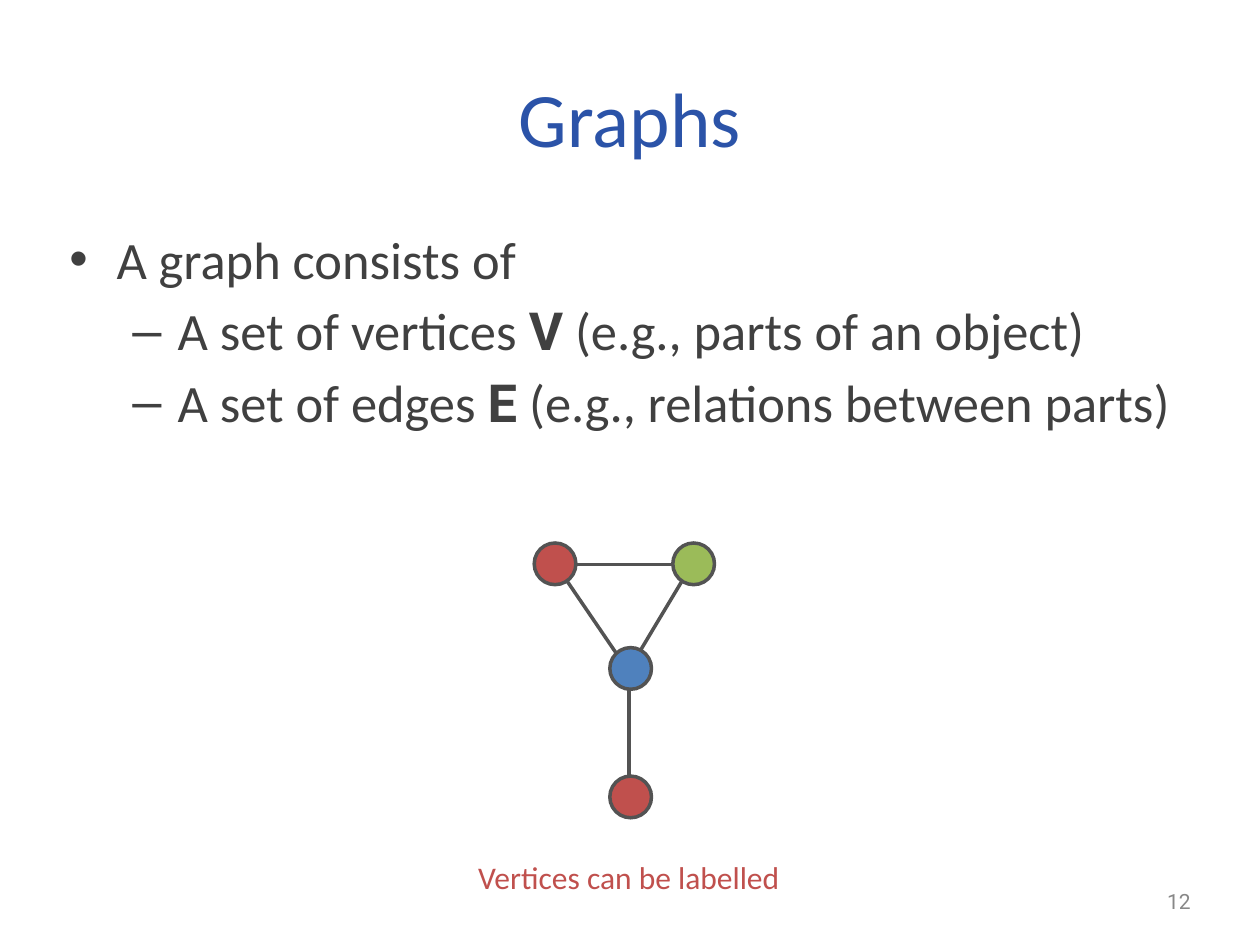
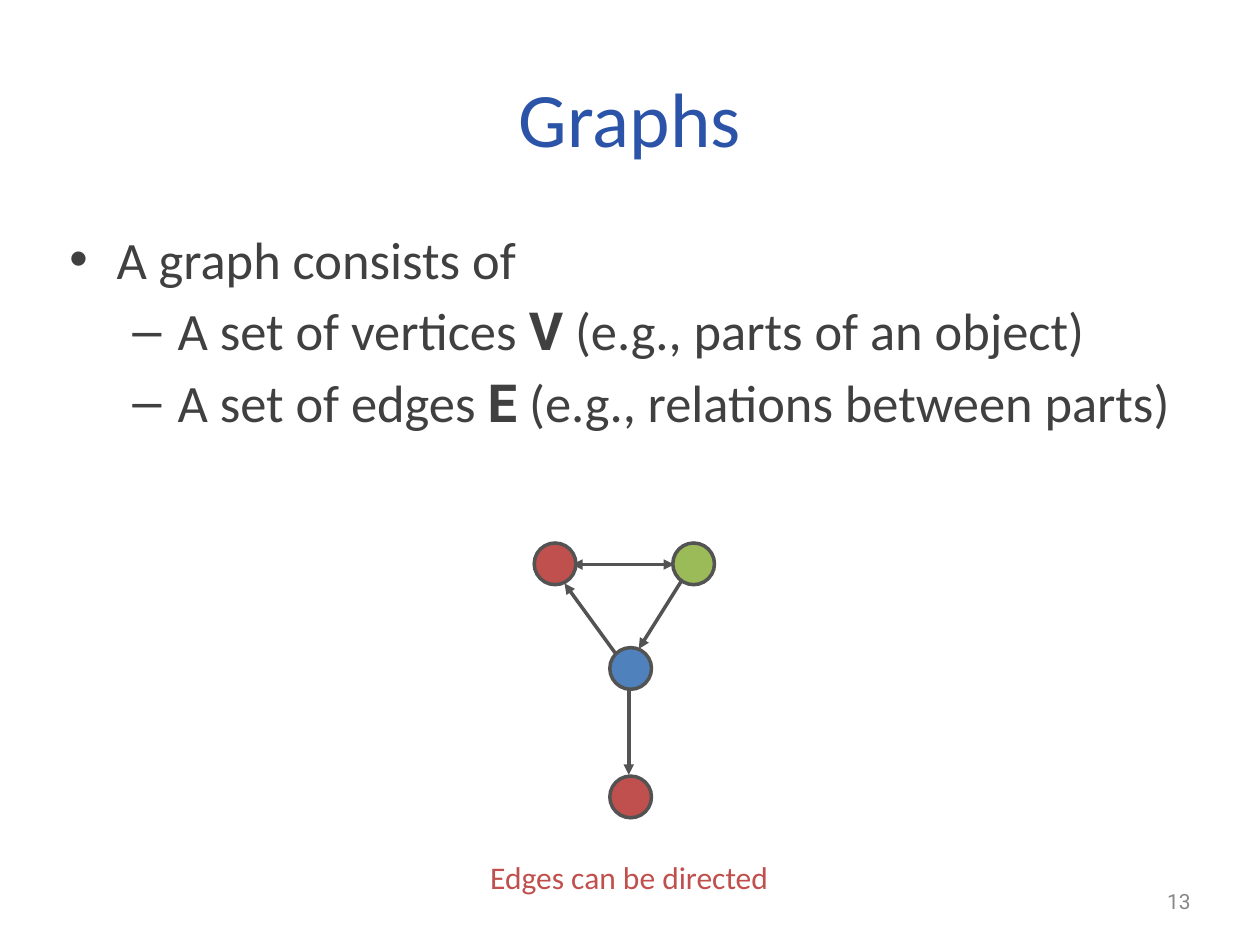
from dataclasses import dataclass

from lxml.etree import SubElement as Sub
from pptx import Presentation
from pptx.dml.color import RGBColor as RGB
from pptx.enum.shapes import MSO_CONNECTOR as Link, MSO_SHAPE as Form
from pptx.enum.text import MSO_ANCHOR as Anchor, PP_ALIGN as Align
from pptx.oxml.ns import qn
from pptx.util import Pt

TITLE = "Graphs"
# Level, then runs of (text, strong)
POINTS = [
    (0, [("A graph consists of", False)]),
    (1, [("A set of vertices ", False), ("V", True),
         (" (e.g., parts of an object)", False)]),
    (1, [("A set of edges ", False), ("E", True),
         (" (e.g., relations between parts)", False)]),
]
# Left, top and colour of each vertex
NODES = [
    (305.3, 310.3, "red"),
    (384.5, 310.3, "green"),
    (348.5, 370.1, "blue"),
    (348.5, 443.5, "red"),
]
# Edges: start, end, ends that carry an arrowhead
SLIDES = [
    {
        "number": "12",
        "caption": "Vertices can be labelled",
        "width": 180.7,
        "edges": [
            ((316.1, 320.4), (359.3, 383.8), ()),
            ((396.7, 320.4), (360, 381.6), ()),
            ((359.3, 463.7), (359.3, 383.8), ()),
            ((325.4, 322.6), (394.6, 322.6), ()),
        ],
    },
    {
        "number": "13",
        "caption": "Edges can be directed",
        "width": 167,
        "edges": [
            ((322.6, 333.4), (359.3, 383.8), ("headEnd",)),
            ((396.7, 320.4), (365, 370.8), ("tailEnd",)),
            ((359.3, 442.8), (359.3, 383), ("headEnd",)),
            ((326.9, 322.6), (385.2, 322.6), ("headEnd", "tailEnd")),
        ],
    },
]


@dataclass(frozen=True)
class Theme:
    main: str = "Calibri"
    alt: str = "Roboto"
    title: str = "2B53A8"
    text: str = "404040"
    edge: str = "535353"
    grey: str = "888888"
    red: str = "C0504D"
    green: str = "9BBB59"
    blue: str = "4F81BD"
    big: int = 44
    body: int = 30
    note: int = 18
    small: int = 12
    line: int = 2
    node: float = 23.8
    inset: float = 3.6
    gap: int = 5


T = Theme()
WIDE, HIGH, SIDE = 720, 540, 36
# Bullet sign, left margin and hang for each level
LEVELS = [("•", 27, 27), ("–", 61.9, 25.9)]


def put(obj, **vals):
    for key, val in vals.items():
        setattr(obj, key, val)


def add_box(slide, left, top, width, height, wrap=True, anchor=Anchor.TOP):
    frame = slide.shapes.add_textbox(
        Pt(left), Pt(top), Pt(width), Pt(height)).text_frame
    put(frame, word_wrap=wrap, vertical_anchor=anchor)
    for side in ("left", "top", "right", "bottom"):
        setattr(frame, f"margin_{side}", Pt(T.inset))
    return frame


def add_run(para, text, size, color, font=T.main, bold=False):
    run = para.add_run()
    run.text = text
    put(run.font, size=Pt(size), name=font, bold=bold)
    run.font.color.rgb = RGB.from_string(color)


def add_label(frame, text, size, color, font=T.main, align=Align.LEFT):
    para = frame.paragraphs[0]
    para.alignment = align
    add_run(para, text, size, color, font)


def set_bullet(para, level):
    sign, left, hang = LEVELS[level]
    put(para, level=level, space_before=Pt(T.gap))
    props = para._p.get_or_add_pPr()
    props.set("marL", str(Pt(left)))
    props.set("indent", str(-Pt(hang)))
    Sub(props, qn("a:buFont"), typeface="Arial")
    Sub(props, qn("a:buChar"), char=sign)


def add_points(slide):
    frame = add_box(slide, SIDE, 126, WIDE - 2 * SIDE, 356.4)
    for i, (level, runs) in enumerate(POINTS):
        para = frame.add_paragraph() if i else frame.paragraphs[0]
        set_bullet(para, level)
        for text, strong in runs:
            font = T.alt if strong else T.main
            add_run(para, text, T.body, T.text, font, strong)


def set_line(line):
    line.color.rgb = RGB.from_string(T.edge)
    line.width = Pt(T.line)


def add_edge(slide, start, end, tips):
    edge = slide.shapes.add_connector(
        Link.STRAIGHT, *(Pt(v) for v in start + end))
    set_line(edge.line)
    props = edge.element.spPr
    for tip in tips:
        Sub(props.find(qn("a:ln")), qn(f"a:{tip}"), type="triangle")
    Sub(props, qn("a:effectLst"))


def add_node(slide, left, top, color):
    node = slide.shapes.add_shape(
        Form.OVAL, Pt(left), Pt(top), Pt(T.node), Pt(T.node))
    node.shadow.inherit = False
    node.fill.solid()
    node.fill.fore_color.rgb = RGB.from_string(getattr(T, color))
    set_line(node.line)


def add_page(deck, page):
    slide = deck.slides.add_slide(deck.slide_layouts[6])
    head = add_box(slide, SIDE, 21.6, WIDE - 2 * SIDE, 90,
                   anchor=Anchor.MIDDLE)
    add_label(head, TITLE, T.big, T.title, align=Align.CENTER)
    add_points(slide)
    for edge in page["edges"]:
        add_edge(slide, *edge)
    for node in NODES:
        add_node(slide, *node)
    width = page["width"]
    note = add_box(slide, (WIDE - width) / 2, 486.7, width, 25.9, wrap=False)
    add_label(note, page["caption"], T.note, T.red)
    foot = add_box(slide, 516.2, 505.4, 167.8, 19.4, anchor=Anchor.MIDDLE)
    add_label(foot, page["number"], T.small, T.grey, T.alt, Align.RIGHT)


def main():
    deck = Presentation()
    put(deck, slide_width=Pt(WIDE), slide_height=Pt(HIGH))
    for page in SLIDES:
        add_page(deck, page)
    deck.save("out.pptx")


if __name__ == "__main__":
    main()
